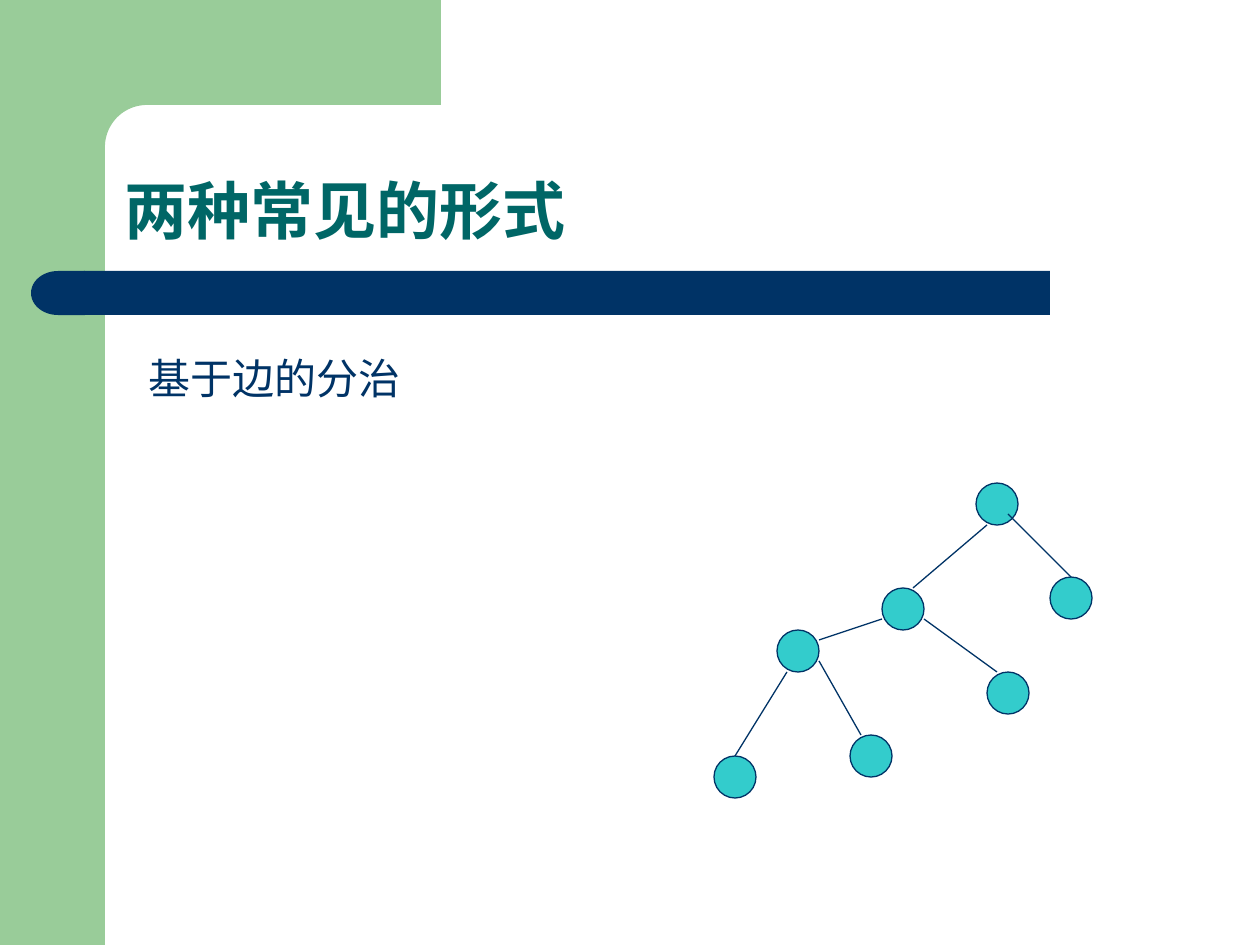
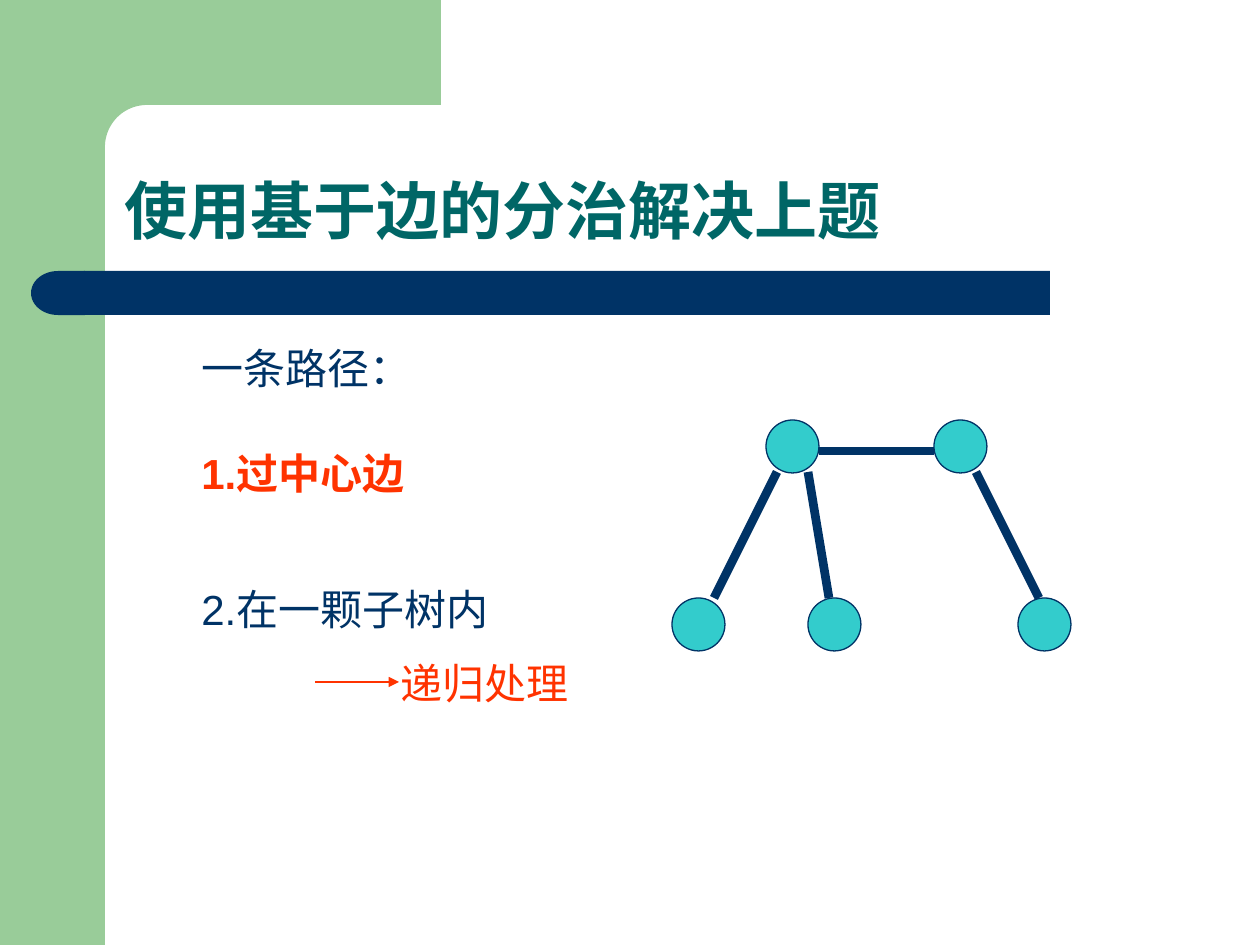
import math

from lxml import etree
from pptx import Presentation
from pptx.dml.color import RGBColor
from pptx.enum.shapes import MSO_CONNECTOR, MSO_SHAPE
from pptx.enum.text import MSO_ANCHOR
from pptx.oxml.ns import qn
from pptx.util import Pt

RECTANGLE = MSO_SHAPE.RECTANGLE
OVAL = MSO_SHAPE.OVAL
DELAY = MSO_SHAPE.FLOWCHART_DELAY
STRAIGHT = MSO_CONNECTOR.STRAIGHT
TOP = MSO_ANCHOR.TOP
BOTTOM = MSO_ANCHOR.BOTTOM

EMU_PER_PX = 914400 / 126
SLIDE_WIDTH, SLIDE_HEIGHT = 1260, 945
SIDE_WIDTH, BAND_HEIGHT = 105, 105


def emu(px):
    return round(px * EMU_PER_PX)


def color(hex_string):
    return RGBColor.from_string(hex_string)


class Deck:
    font = "Arial"
    green = "99CC99"
    navy = "003366"
    teal = "006666"
    aqua = "33CCCC"
    red = "FF3300"

    def __init__(self):
        self.presentation = Presentation()
        self.presentation.slide_width = emu(SLIDE_WIDTH)
        self.presentation.slide_height = emu(SLIDE_HEIGHT)
        self.slide = None

    def add_slide(self, title):
        blank = self.presentation.slide_layouts[6]
        self.slide = self.presentation.slides.add_slide(blank)
        self.shape(RECTANGLE, 0, 0, SIDE_WIDTH, SLIDE_HEIGHT, self.green)
        self.corner()
        self.shape(RECTANGLE, 84, 271, 966, 44, self.navy)
        self.shape(DELAY, 31, 271, 54, 44, self.navy).rotation = 180
        self.text(title, 112, 112, 1076, 142, 36, self.teal,
                  bold=True, anchor=BOTTOM, line_spacing=0.9)

    def paint(self, shape, fill, line=None):
        shape.shadow.inherit = False
        shape.fill.solid()
        shape.fill.fore_color.rgb = color(fill)
        if line:
            shape.line.color.rgb = color(line)
            shape.line.width = Pt(0.75)
        else:
            shape.line.fill.background()

    def shape(self, kind, left, top, width, height, fill, line=None):
        shape = self.slide.shapes.add_shape(
            kind, emu(left), emu(top), emu(width), emu(height))
        self.paint(shape, fill, line)
        return shape

    def corner(self):
        radius, steps = 42, 24
        center_x, center_y = SIDE_WIDTH + radius, BAND_HEIGHT + radius
        angles = [math.pi / 2 * step / steps for step in range(steps + 1)]
        arc = [(center_x - radius * math.sin(angle),
                center_y - radius * math.cos(angle)) for angle in angles]
        outline = [(441, BAND_HEIGHT), *arc, (SIDE_WIDTH, 161), (63, 161), (63, 0)]
        builder = self.slide.shapes.build_freeform(emu(441), 0)
        builder.add_line_segments([(emu(x), emu(y)) for x, y in outline])
        self.paint(builder.convert_to_shape(), self.green)

    def text(self, content, left, top, width, height, size, font_color,
             bold=False, anchor=TOP, line_spacing=1.0):
        box = self.slide.shapes.add_textbox(
            emu(left), emu(top), emu(width), emu(height))
        frame = box.text_frame
        frame.word_wrap = True
        frame.vertical_anchor = anchor
        paragraph = frame.paragraphs[0]
        paragraph.text = content
        paragraph.line_spacing = line_spacing
        paragraph.font.name = self.font
        paragraph.font.size = Pt(size)
        paragraph.font.bold = bold
        paragraph.font.color.rgb = color(font_color)

    def body(self, content, left, top, width, font_color=navy, bold=False):
        self.text(content, left, top, width, 63, 24, font_color, bold)

    def line(self, start, end, line_color, width, arrow=False):
        connector = self.slide.shapes.add_connector(
            STRAIGHT, *map(emu, start), *map(emu, end))
        connector.line.color.rgb = color(line_color)
        connector.line.width = Pt(width)
        properties = connector.element.spPr
        if arrow:
            etree.SubElement(properties.find(qn("a:ln")), qn("a:tailEnd"),
                             type="triangle")
        etree.SubElement(properties, qn("a:effectLst"))

    def tree(self, nodes, diameter, edges, edge_width):
        for left, top in nodes:
            self.shape(OVAL, left, top, diameter, diameter, self.aqua, self.navy)
        for start, end in edges:
            self.line(start, end, self.navy, edge_width)


def add_common_forms(deck):
    deck.add_slide("两种常见的形式")
    deck.body("基于边的分治", 136, 346, 400)
    nodes = [(976, 483), (1050, 577), (882, 588), (987, 672),
             (777, 630), (850, 735), (714, 756)]
    edges = [((787, 672), (735, 756)), ((819, 661), (861, 735)),
             ((819, 640), (882, 619)), ((924, 619), (997, 672)),
             ((913, 588), (987, 525)), ((1008, 514), (1071, 577))]
    deck.tree(nodes, 42, edges, 0.75)


def add_edge_solution(deck):
    deck.add_slide("使用基于边的分治解决上题")
    deck.body("一条路径：", 189, 336, 305)
    deck.body("2.在一颗子树内", 189, 577, 441)
    nodes = [(766, 420), (934, 420), (672, 598), (808, 598), (1018, 598)]
    edges = [((777, 472), (714, 598)), ((808, 472), (829, 598)),
             ((819, 451), (934, 451)), ((976, 472), (1039, 598))]
    deck.tree(nodes, 53, edges, 5)
    deck.body("1.过中心边", 189, 441, 410, deck.red, bold=True)
    deck.body("递归处理", 388, 651, 284, deck.red)
    deck.line((315, 682), (399, 682), deck.red, 1.5, arrow=True)


def main():
    deck = Deck()
    add_common_forms(deck)
    add_edge_solution(deck)
    deck.presentation.save("out.pptx")


if __name__ == "__main__":
    main()
